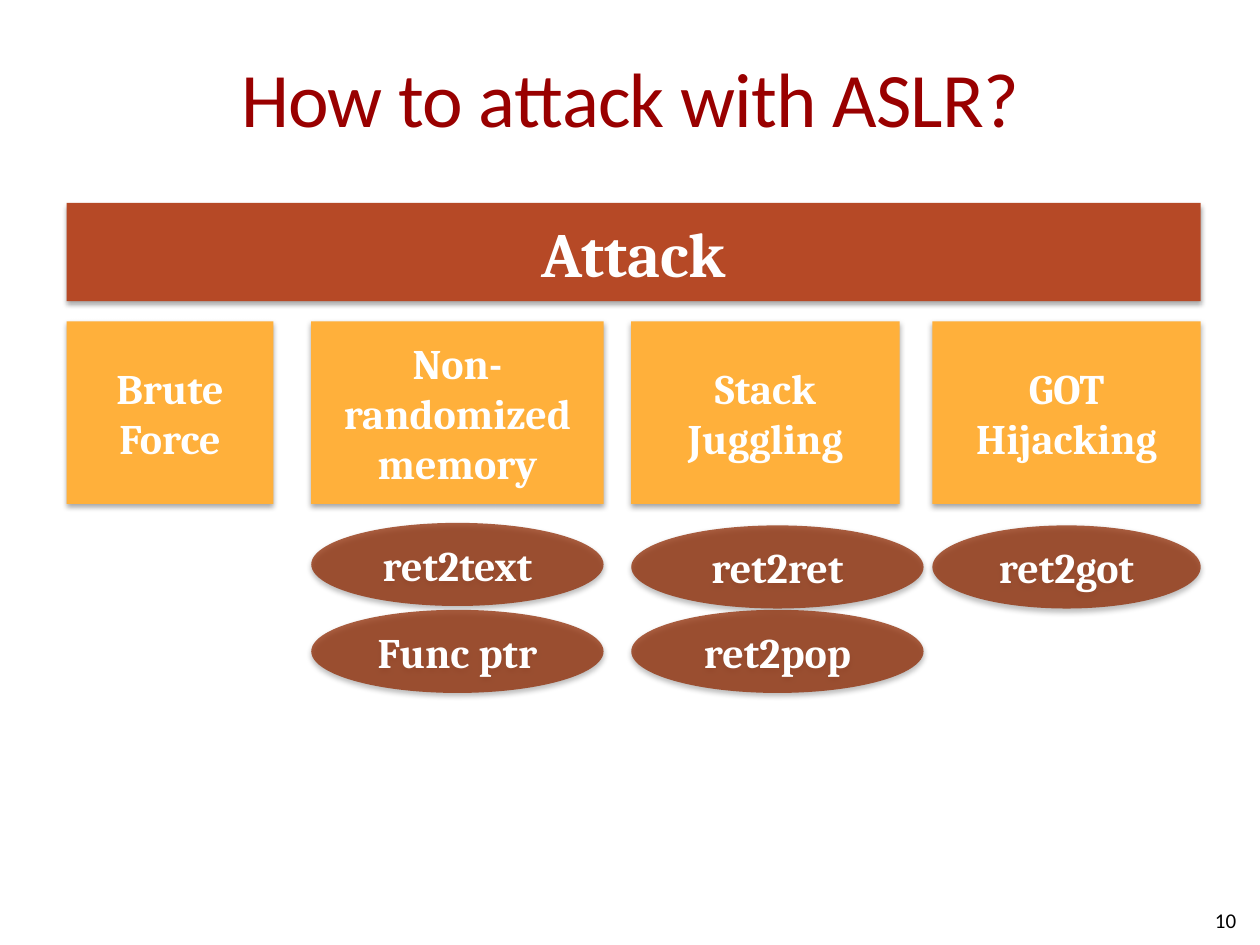
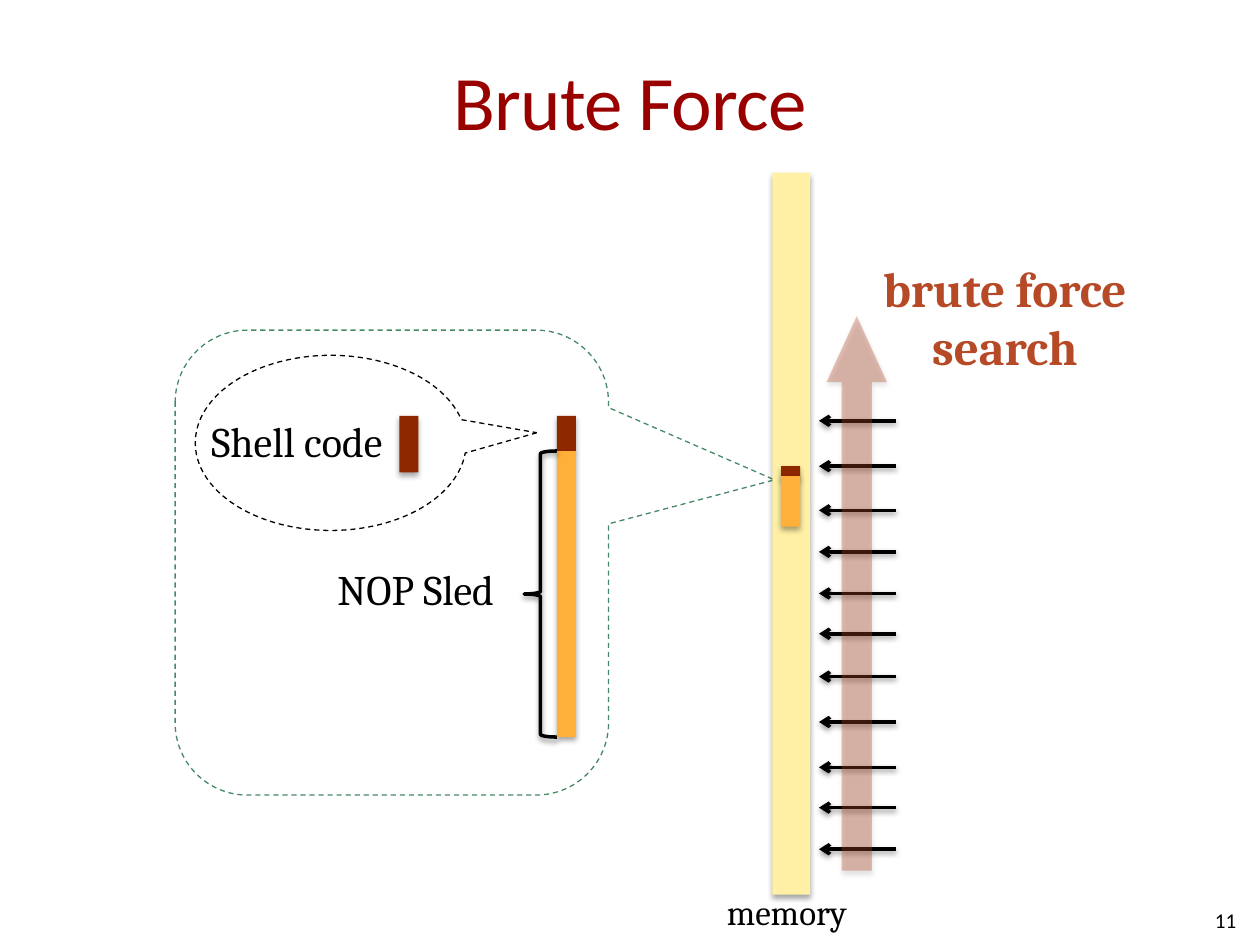
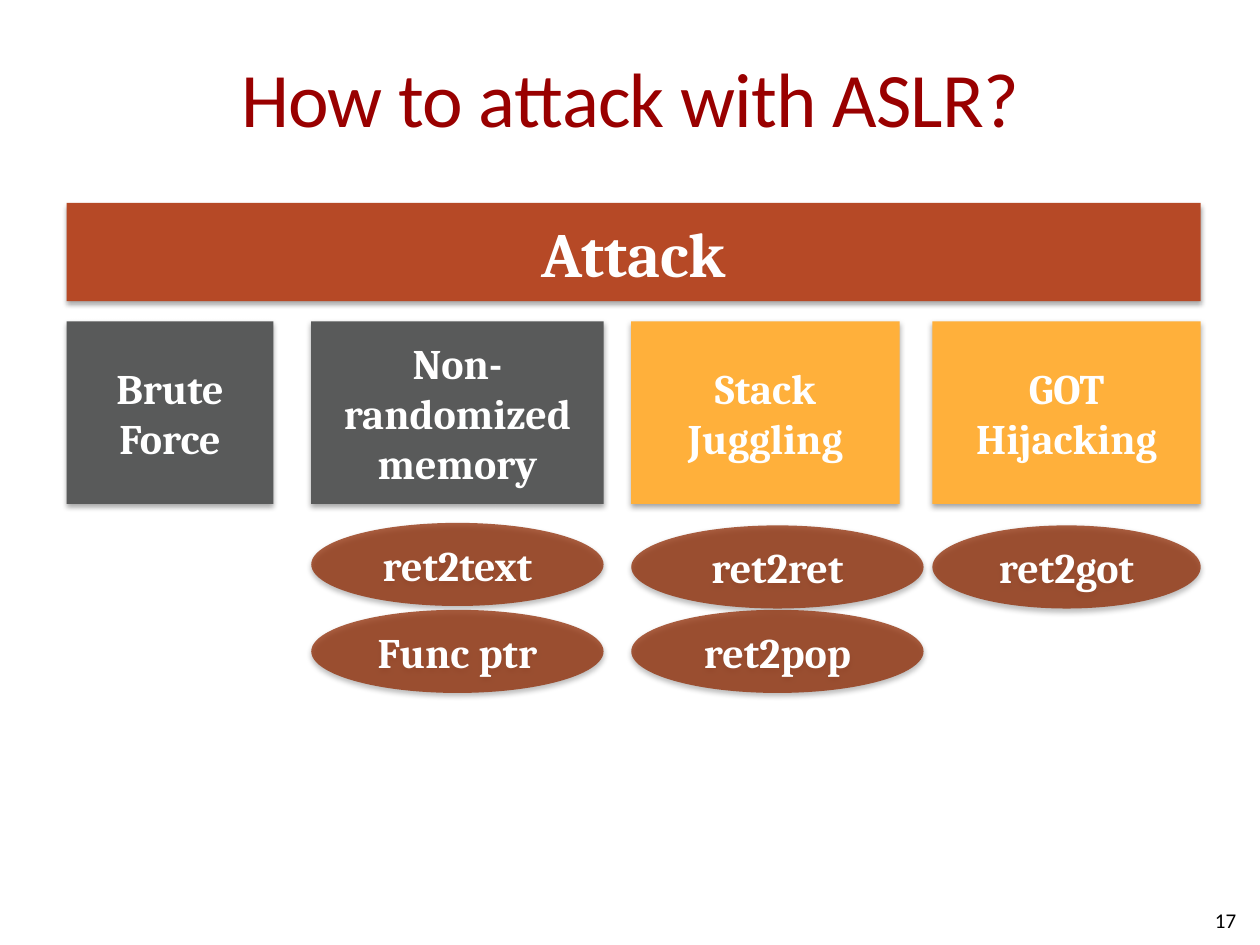
from dataclasses import dataclass

from lxml.etree import SubElement
from pptx import Presentation
from pptx.dml.color import RGBColor
from pptx.enum.dml import MSO_LINE
from pptx.enum.shapes import MSO_CONNECTOR, MSO_SHAPE
from pptx.enum.text import MSO_ANCHOR, MSO_AUTO_SIZE, PP_ALIGN
from pptx.oxml.ns import qn
from pptx.util import Emu, Pt

PX = 9144


@dataclass(frozen=True)
class Theme:
    title: str = "990000"
    rust: str = "B64926"
    amber: str = "FFB03B"
    brown: str = "8E2800"
    cream: str = "FFF0A5"
    gray: str = "595A5A"
    green: str = "468966"
    black: str = "000000"
    white: str = "FFFFFF"
    heading_font: str = "Calibri"
    body_font: str = "Cambria"
    title_size: int = 44
    banner_size: int = 36
    callout_size: int = 28
    body_size: int = 24
    caption_size: int = 20
    number_size: int = 12


@dataclass(frozen=True)
class Box:
    x: int
    y: int
    w: int
    h: int

    def inner(self, dx, dy, w, h):
        return Box(self.x + dx, self.y + dy, w, h)

    def emu(self):
        return [Emu(v * PX) for v in (self.x, self.y, self.w, self.h)]


T = Theme()
TITLE_BOX = Box(50, 29, 900, 96)
NUMBER_BOX = Box(758, 710, 233, 40)
ATTACK_BOX = Box(53, 161, 900, 389)
PAYLOAD_BOX = Box(139, 262, 344, 369)
MEMORY_BOX = Box(613, 137, 30, 573)
SEARCH_BOX = Box(650, 200, 258, 491)

ATTACKS = [
    (0, 164, "Brute Force", 0, []),
    (194, 232, "Non-randomized memory", 232, [("ret2text", 254), ("Func ptr", 323)]),
    (448, 213, "Stack Juggling", 232, [("ret2ret", 256), ("ret2pop", 323)]),
    (687, 213, "GOT\nHijacking", 213, [("ret2got", 256)]),
]
PROBE_TOPS = [134, 170, 205, 238, 271, 303, 337, 373, 409, 441, 474]


def write(tf, text, size=T.body_size, color=T.black, font=T.body_font, bold=False,
          align=PP_ALIGN.LEFT, anchor=MSO_ANCHOR.TOP, spacing=None):
    tf.vertical_anchor = anchor
    for i, line in enumerate(text.split("\n")):
        p = tf.add_paragraph() if i else tf.paragraphs[0]
        p.alignment = align
        r = p.add_run()
        r.text = line
        r.font.size = Pt(size)
        r.font.name = font
        r.font.bold = bold
        r.font.color.rgb = RGBColor.from_string(color)
        if spacing is not None:
            r._r.get_or_add_rPr().set("spc", str(spacing))


def add_shadow(sp, dist=23000, alpha=35000):
    effects = SubElement(sp._element.spPr, qn("a:effectLst"))
    outer = SubElement(effects, qn("a:outerShdw"), blurRad="40000", dist=str(dist),
                       dir="5400000", rotWithShape="0")
    clr = SubElement(outer, qn("a:srgbClr"), val=T.black)
    SubElement(clr, qn("a:alpha"), val=str(alpha))


def set_line(sp, color, width):
    sp.line.color.rgb = RGBColor.from_string(color)
    sp.line.width = Pt(width)


def add_block(shapes, box, fill, kind=MSO_SHAPE.RECTANGLE, opacity=100, adj=(),
              text="", size=T.body_size):
    sp = shapes.add_shape(kind, *box.emu())
    for i, value in enumerate(adj):
        sp.adjustments[i] = value
    sp.fill.solid()
    sp.fill.fore_color.rgb = RGBColor.from_string(fill)
    if opacity < 100:
        clr = sp._element.spPr.find(".//" + qn("a:srgbClr"))
        SubElement(clr, qn("a:alpha"), val=str(opacity * 1000))
    sp.line.fill.background()
    add_shadow(sp)
    if text:
        sp.text_frame.word_wrap = True
        write(sp.text_frame, text, size=size, color=T.white, bold=True,
              align=PP_ALIGN.CENTER, anchor=MSO_ANCHOR.MIDDLE)


def add_outline(shapes, kind, box, color, width, adj=(), dashed=False):
    sp = shapes.add_shape(kind, *box.emu())
    for i, value in enumerate(adj):
        sp.adjustments[i] = value
    sp.fill.background()
    set_line(sp, color, width)
    if dashed:
        sp.line.dash_style = MSO_LINE.DASH
        sp.shadow.inherit = False
    else:
        add_shadow(sp, dist=20000, alpha=38000)


def add_label(shapes, box, text, **fmt):
    tf = shapes.add_textbox(*box.emu()).text_frame
    tf.word_wrap = False
    tf.auto_size = MSO_AUTO_SIZE.SHAPE_TO_FIT_TEXT
    write(tf, text, **fmt)


def add_probe(shapes, box):
    x, y, w, _ = box.emu()
    cxn = shapes.add_connector(MSO_CONNECTOR.STRAIGHT, x + w, y, x, y)
    set_line(cxn, T.black, 2)
    SubElement(cxn._element.spPr.find(qn("a:ln")), qn("a:tailEnd"), type="arrow")
    add_shadow(cxn, dist=20000, alpha=38000)


def new_slide(prs, title, number, title_box=TITLE_BOX):
    s = prs.slides.add_slide(prs.slide_layouts[5])
    sp = s.shapes.title
    sp.left, sp.top, sp.width, sp.height = title_box.emu()
    tf = sp.text_frame
    tf.word_wrap = True
    tf.auto_size = MSO_AUTO_SIZE.NONE
    tf.margin_left = tf.margin_right = 0
    write(tf, title, size=T.title_size, color=T.title, font=T.heading_font,
          align=PP_ALIGN.CENTER, anchor=MSO_ANCHOR.MIDDLE, spacing=-50)
    tf = s.shapes.add_textbox(*NUMBER_BOX.emu()).text_frame
    tf.word_wrap = True
    write(tf, str(number), size=T.number_size, font=T.heading_font,
          align=PP_ALIGN.RIGHT, anchor=MSO_ANCHOR.MIDDLE)
    return s


def draw_attacks(s, box, covered):
    shapes = s.shapes.add_group_shape().shapes
    add_block(shapes, box.inner(0, 0, box.w, 78), T.rust, text="Attack", size=T.banner_size)
    for i, (x, w, name, method_w, methods) in enumerate(ATTACKS):
        fill = T.gray if i < covered else T.amber
        add_block(shapes, box.inner(x, 94, w, 145), fill, text=name)
        for method, top in methods:
            add_block(shapes, box.inner(x, top, method_w, 66), T.brown,
                      kind=MSO_SHAPE.OVAL, opacity=74, text=method)


def draw_payload(s, box):
    shapes = s.shapes.add_group_shape().shapes
    add_block(shapes, box.inner(178, 68, 15, 45), T.brown)
    add_label(shapes, box.inner(19, 63, 165, 50), "Shell code")
    add_outline(shapes, MSO_SHAPE.OVAL_CALLOUT, box.inner(16, 20, 215, 139), T.black, 0.75,
                adj=(0.761, -0.058), dashed=True)
    add_block(shapes, box.inner(303, 68, 15, 28), T.brown)
    add_block(shapes, box.inner(303, 96, 15, 227), T.amber)
    add_outline(shapes, MSO_SHAPE.LEFT_BRACE, box.inner(277, 96, 26, 227), T.black, 2)
    add_label(shapes, box.inner(119, 180, 153, 50), "NOP Sled")
    add_outline(shapes, MSO_SHAPE.ROUNDED_RECTANGULAR_CALLOUT, box, T.green, 0.75,
                adj=(0.883, -0.178, 0.167), dashed=True)


def draw_memory(s, box):
    shapes = s.shapes.add_group_shape().shapes
    add_block(shapes, box, T.cream)
    add_block(shapes, box.inner(7, 233, 15, 11), T.brown)
    add_label(shapes, box.inner(-46, 565, 121, 44), "memory", size=T.caption_size)
    add_block(shapes, box.inner(7, 241, 15, 40), T.amber)


def draw_search(s, box):
    shapes = s.shapes.add_group_shape().shapes
    for top in PROBE_TOPS:
        add_probe(shapes, box.inner(0, top, 61, 0))
    add_block(shapes, box.inner(6, 51, 48, 440), T.rust, kind=MSO_SHAPE.UP_ARROW,
              opacity=33, adj=(0.5, 1.091))
    add_label(shapes, box.inner(37, 0, 221, 104), "brute force\nsearch",
              size=T.callout_size, color=T.rust, bold=True, align=PP_ALIGN.CENTER)


def attack_slide(prs, number, covered):
    s = new_slide(prs, "How to attack with ASLR?", number)
    draw_attacks(s, ATTACK_BOX, covered)


def brute_force_slide(prs, number):
    s = new_slide(prs, "Brute Force", number, title_box=Box(50, 17, 900, 125))
    draw_payload(s, PAYLOAD_BOX)
    draw_memory(s, MEMORY_BOX)
    draw_search(s, SEARCH_BOX)


def main():
    prs = Presentation()
    prs.slide_width, prs.slide_height = Emu(1000 * PX), Emu(750 * PX)
    attack_slide(prs, 10, covered=0)
    brute_force_slide(prs, 11)
    attack_slide(prs, 17, covered=2)
    prs.save("out.pptx")


if __name__ == "__main__":
    main()
